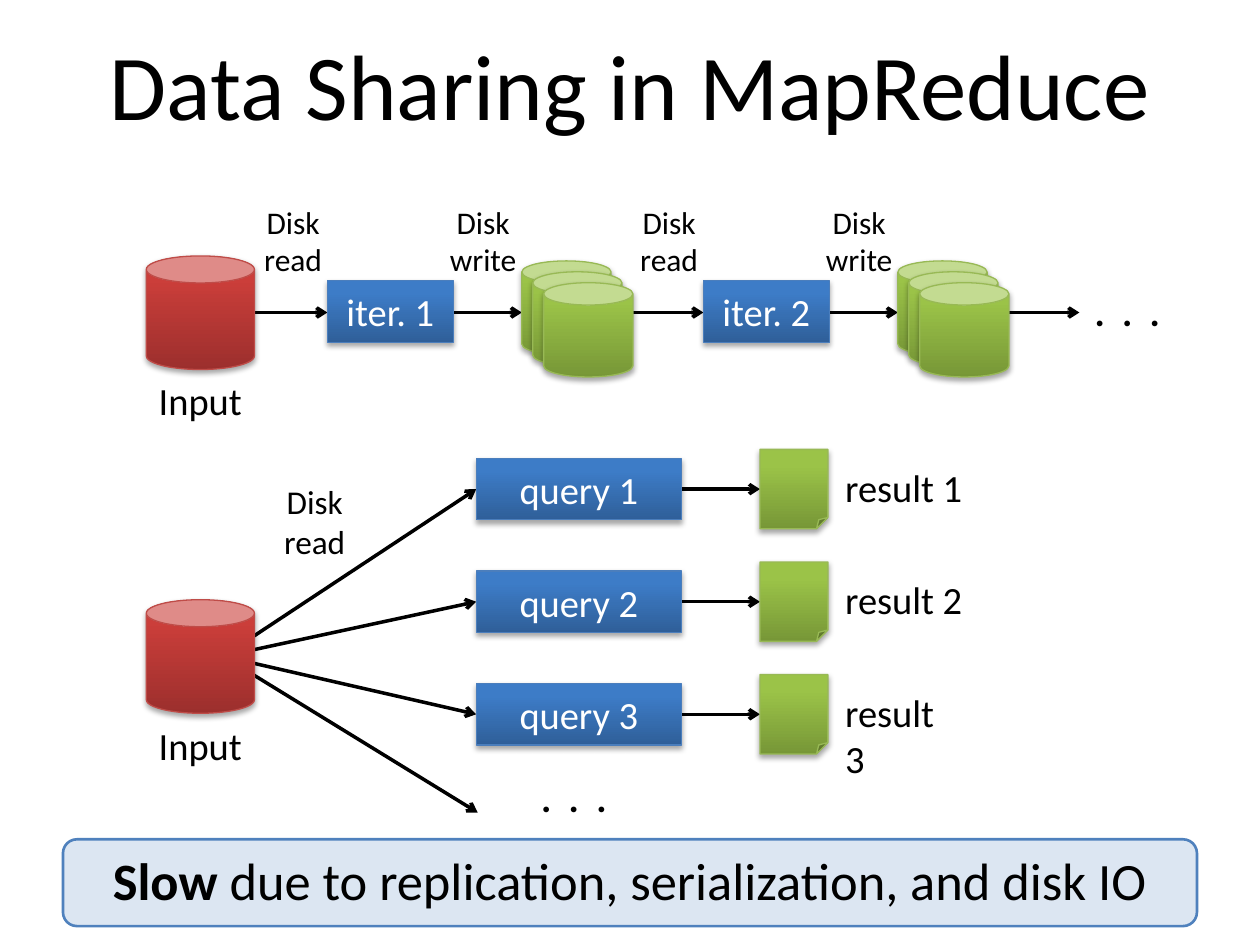
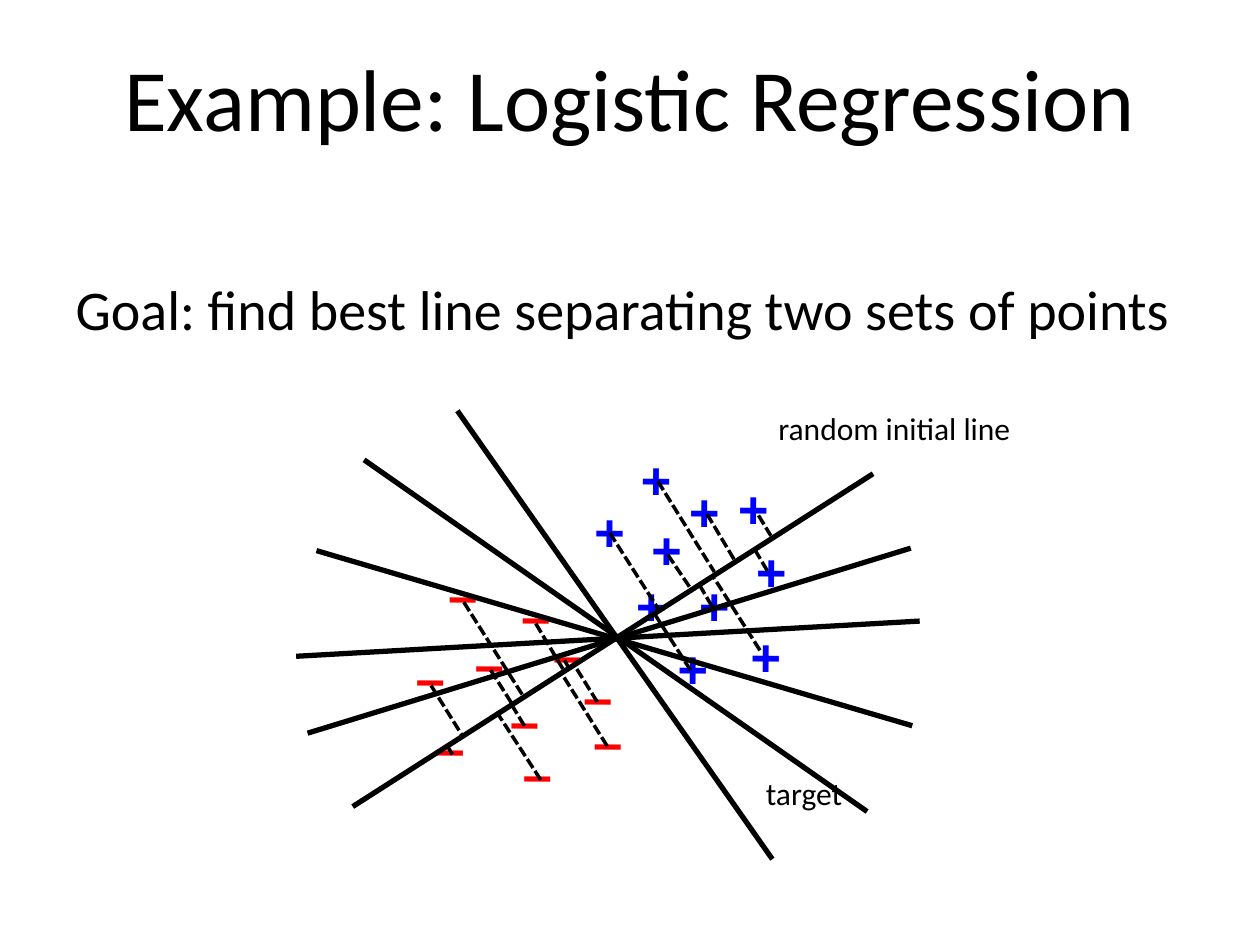
from lxml import etree
from pptx import Presentation
from pptx.dml.color import RGBColor
from pptx.enum.dml import MSO_LINE
from pptx.enum.shapes import MSO_CONNECTOR, MSO_SHAPE
from pptx.enum.text import MSO_ANCHOR, PP_ALIGN
from pptx.oxml.ns import qn
from pptx.util import Cm, Pt

BLACK = RGBColor(0x00, 0x00, 0x00)
WHITE = RGBColor(0xFF, 0xFF, 0xFF)
PLUS_BLUE = RGBColor(0x00, 0x00, 0xFF)
MINUS_RED = RGBColor(0xFF, 0x00, 0x00)
BANNER_FILL = RGBColor(0xDC, 0xE6, 0xF2)
BANNER_LINE = RGBColor(0x4F, 0x81, 0xBD)
# Each palette: gradient bottom, gradient top, outline
RED = (RGBColor(0x9C, 0x2F, 0x2D), RGBColor(0xCB, 0x3E, 0x3A), RGBColor(0xBF, 0x4C, 0x48))
BLUE = (RGBColor(0x2F, 0x5F, 0x99), RGBColor(0x3D, 0x7C, 0xC7), RGBColor(0x4B, 0x7E, 0xBC))
GREEN = (RGBColor(0x77, 0x97, 0x37), RGBColor(0x9B, 0xC3, 0x48), RGBColor(0x98, 0xB9, 0x55))

FONT = "Calibri"
SYMBOL_FONT = "Arial"
LEFT, CENTER = PP_ALIGN.LEFT, PP_ALIGN.CENTER
TOP, MIDDLE = MSO_ANCHOR.TOP, MSO_ANCHOR.MIDDLE
STRAIGHT = MSO_CONNECTOR.STRAIGHT
DASHED = MSO_LINE.SQUARE_DOT
CAN, BOX, PAGE = MSO_SHAPE.CAN, MSO_SHAPE.RECTANGLE, MSO_SHAPE.FOLDED_CORNER
ROUNDED = MSO_SHAPE.ROUNDED_RECTANGLE
TITLE_ONLY, TITLE_AND_CONTENT = 5, 1


def add_line(slide, start, end, width=2, dash=None, arrow=False):
    """Draw a black line between two (x, y) points given in centimetres."""
    line = slide.shapes.add_connector(STRAIGHT, *(Cm(value) for value in start + end))
    line.line.color.rgb = BLACK
    line.line.width = Pt(width)
    if dash:
        line.line.dash_style = dash
    if arrow:
        etree.SubElement(line.element.spPr.find(qn("a:ln")), qn("a:tailEnd"), type="arrow")
    etree.SubElement(line.element.spPr, qn("a:effectLst"))


def add_label(slide, text, left, top, width, size, align=LEFT,
              color=BLACK, font=FONT, bold=False):
    label = slide.shapes.add_textbox(Cm(left), Cm(top), Cm(width), Cm(1.2))
    label.text_frame.word_wrap = True
    paragraph = label.text_frame.paragraphs[0]
    paragraph.text = text
    paragraph.alignment = align
    paragraph.font.name = font
    paragraph.font.size = Pt(size)
    paragraph.font.bold = bold
    paragraph.font.color.rgb = color
    return label


presentation = Presentation()
presentation.slide_width = Cm(25.4)
presentation.slide_height = Cm(19.05)

slides = []
for title_text, layout, title_top, title_size in [
    ("Data Sharing in MapReduce", TITLE_ONLY, 0.43, 53),
    ("Example: Logistic Regression", TITLE_AND_CONTENT, 0.76, 50),
]:
    slide = presentation.slides.add_slide(presentation.slide_layouts[layout])
    title = slide.shapes.title
    title.left, title.top, title.width, title.height = (
        Cm(1.27), Cm(title_top), Cm(22.86), Cm(3.18))
    title.text_frame.vertical_anchor = TOP
    paragraph = title.text_frame.paragraphs[0]
    paragraph.text = title_text
    paragraph.alignment = CENTER
    paragraph.font.name = FONT
    paragraph.font.size = Pt(title_size)
    paragraph.font.color.rgb = BLACK
    slides.append(slide)
sharing_slide, regression_slide = slides

# Slide 1: iterative jobs on top, queries below
ITERATION_PITCH = 7.58
FLOW_Y = 6.3
QUERY_CENTERS = [9.86 + 2.27 * row for row in range(3)]
DOTS = ".  .  ."
READ, WRITE = "Disk\nread", "Disk\nwrite"

blocks = [(CAN, 2.95, 5.16, 2.18, 2.29, RED, "")]
for step in range(3):
    shift = ITERATION_PITCH * step
    add_line(sharing_slide, (5.12 + shift, FLOW_Y), (6.6 + shift, FLOW_Y), arrow=True)
    if step == 2:
        break
    add_line(sharing_slide, (9.14 + shift, FLOW_Y), (10.52 + shift, FLOW_Y), arrow=True)
    add_label(sharing_slide, READ, 4.88 + shift, 3.96, 2.06, 18, CENTER)
    add_label(sharing_slide, WRITE, 8.71 + shift, 3.96, 2.06, 18, CENTER)
    blocks.append((BOX, 6.6 + shift, 5.66, 2.54, 1.24, BLUE, f"iter. {step + 1}"))
    for layer in range(3):
        offset = 0.22 * layer
        blocks.append((CAN, 10.52 + shift + offset, 5.26 + offset, 1.8, 1.9, GREEN, ""))

for fan_end in [(9.6, center) for center in QUERY_CENTERS] + [(9.63, 16.38)]:
    add_line(sharing_slide, (4.5, 13.23), fan_end, arrow=True)
blocks.append((CAN, 2.95, 12.09, 2.18, 2.29, RED, ""))

for number, (center, label_width) in enumerate(zip(QUERY_CENTERS, (3, 3, 2.7)), start=1):
    add_line(sharing_slide, (13.74, center), (15.32, center), arrow=True)
    blocks.append((BOX, 9.6, center - 0.62, 4.14, 1.24, BLUE, f"query {number}"))
    blocks.append((PAGE, 15.32, center - 0.8, 1.37, 1.6, GREEN, ""))
    add_label(sharing_slide, f"result {number}", 16.79, center - 0.64, label_width, 22)

add_label(sharing_slide, DOTS, 21.72, 5.69, 2.01, 22, CENTER, bold=True)
add_label(sharing_slide, DOTS, 9.5, 15.47, 4.14, 22, CENTER, bold=True)
add_label(sharing_slide, "Input", 2.95, 7.47, 2.5, 22)
add_label(sharing_slide, "Input", 2.95, 14.43, 2.5, 22)
add_label(sharing_slide, READ, 5.28, 9.58, 2.13, 19, CENTER)

for kind, left, top, width, height, (bottom_color, top_color, outline), text in blocks:
    block = sharing_slide.shapes.add_shape(kind, Cm(left), Cm(top), Cm(width), Cm(height))
    block.fill.gradient()
    block.fill.gradient_angle = 90
    for stop, color, position in zip(
            block.fill.gradient_stops, (bottom_color, top_color), (0, 0.8)):
        stop.color.rgb = color
        stop.position = position
    block.line.color.rgb = outline
    block.line.width = Pt(0.75)
    block.shadow.inherit = False
    effects = block.element.spPr.find(qn("a:effectLst"))
    shadow = etree.SubElement(effects, qn("a:outerShdw"), blurRad="40000", dist="23000",
                              dir="5400000", rotWithShape="0")
    shadow_color = etree.SubElement(shadow, qn("a:srgbClr"), val="000000")
    etree.SubElement(shadow_color, qn("a:alpha"), val="35000")
    if text:
        frame = block.text_frame
        frame.margin_left = frame.margin_right = 0
        frame.vertical_anchor = MIDDLE
        paragraph = frame.paragraphs[0]
        paragraph.text = text
        paragraph.alignment = CENTER
        paragraph.font.name = FONT
        paragraph.font.size = Pt(22)
        paragraph.font.color.rgb = WHITE

banner = sharing_slide.shapes.add_shape(ROUNDED, Cm(1.27), Cm(16.92), Cm(22.86), Cm(1.75))
banner.adjustments[0] = 0.16
banner.shadow.inherit = False
banner.fill.solid()
banner.fill.fore_color.rgb = BANNER_FILL
banner.line.color.rgb = BANNER_LINE
banner.line.width = Pt(1.5)
banner.text_frame.margin_top = 0
banner.text_frame.vertical_anchor = MIDDLE
paragraph = banner.text_frame.paragraphs[0]
paragraph.alignment = CENTER
for text, bold in [("Slow", True),
                   (" due to replication, serialization, and disk IO", False)]:
    run = paragraph.add_run()
    run.text = text
    run.font.name = FONT
    run.font.size = Pt(30)
    run.font.bold = bold
    run.font.color.rgb = BLACK

# Slide 2: points, candidate lines and their distances
goal = regression_slide.placeholders[1]
goal.left, goal.top, goal.width, goal.height = Cm(1.27), Cm(5.41), Cm(22.86), Cm(2.62)
paragraph = goal.text_frame.paragraphs[0]
paragraph.text = "Goal: find best line separating two sets of points"
paragraph.font.name = FONT
paragraph.font.size = Pt(32)
paragraph.font.color.rgb = BLACK
paragraph._p.get_or_add_pPr().insert(0, etree.Element(qn("a:buNone")))

PLUS_POINTS = [
    (12.88, 10.31), (12.57, 11.43), (14.99, 10.74), (13.84, 11.43), (13.64, 9.53),
    (14.88, 12.45), (11.73, 9.93), (12.67, 8.89), (14.63, 9.47), (13.41, 12.7),
]
MINUS_POINTS = [
    (10.03, 13.74), (9.32, 12.6), (10.9, 12.42), (10.26, 11.63), (8.53, 14.3),
    (8.79, 11.2), (11.51, 13.26), (10.29, 14.81), (11.71, 14.17), (8.13, 12.88),
]
CANDIDATE_LINES = [
    ((9.22, 8.28), (15.57, 17.32)), ((7.11, 16.26), (17.6, 9.55)),
    ((6.2, 14.78), (18.36, 11.05)), ((5.97, 13.23), (18.54, 12.52)),
    ((6.38, 11.1), (18.39, 14.63)), ((7.34, 9.27), (17.48, 16.36)),
]
DISTANCES = [
    ((10.57, 14.63), (10.34, 14.25)), ((14.25, 10.36), (14.83, 11.33)),
    ((13.46, 11.18), (13.94, 11.89)), ((13.26, 9.7), (14.4, 11.53)),
    ((15.29, 10.39), (15.54, 10.8)), ((12.29, 10.74), (13.28, 12.29)),
    ((15.47, 11.51), (15.21, 11.07)), ((14.35, 12.22), (14.1, 11.79)),
    ((15.32, 13.11), (14.4, 11.66)), ((13.92, 13.51), (13.21, 12.4)),
    ((9.35, 12.14), (10.54, 14.02)), ((10.8, 12.57), (11.35, 13.49)),
    ((8.69, 13.82), (9.32, 14.83)), ((12.04, 14.15), (11.58, 13.41)),
    ((10.01, 14.35), (10.9, 15.72)), ((12.24, 15.04), (11.33, 13.59)),
    ((9.12, 15.21), (9.02, 15.04)), ((11.48, 13.49), (11.38, 13.31)),
    ((10.31, 14.17), (9.86, 13.46)),
]

for symbol, color, points in [("+", PLUS_BLUE, PLUS_POINTS), ("–", MINUS_RED, MINUS_POINTS)]:
    for left, top in points:
        point = add_label(regression_slide, symbol, left, top, 1.14, 30,
                          color=color, font=SYMBOL_FONT, bold=True)
        point.height = Cm(1.55)
        point.rotation = 0.4
for start, end in CANDIDATE_LINES:
    add_line(regression_slide, start, end, width=3)
for start, end in DISTANCES:
    add_line(regression_slide, start, end, dash=DASHED)
add_label(regression_slide, "target", 15.19, 15.47, 2.72, 18)
add_label(regression_slide, "random initial line", 14.6, 8.13, 6.86, 18, CENTER)

presentation.save("out.pptx")
